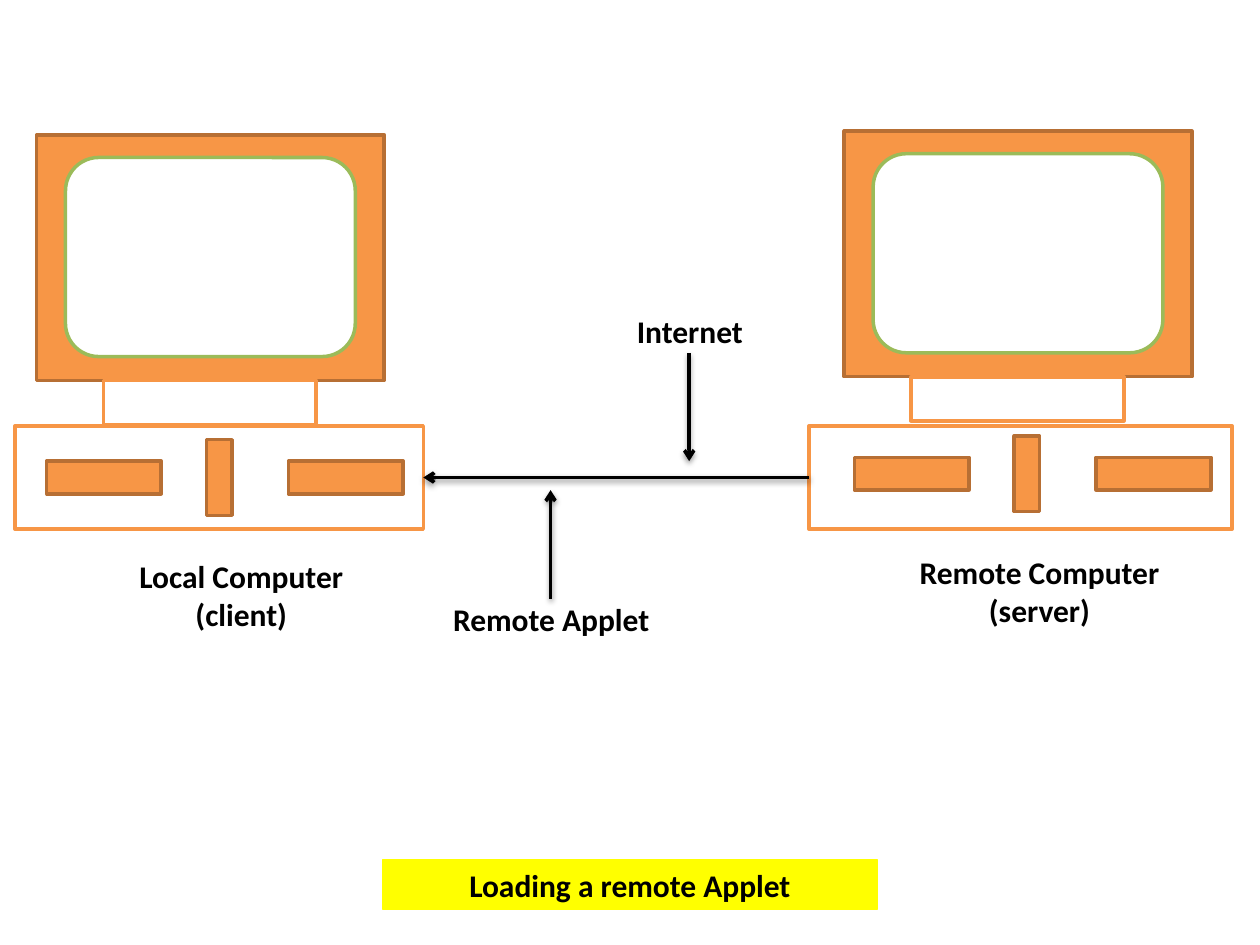
from lxml import etree
from pptx import Presentation
from pptx.dml.color import RGBColor
from pptx.enum.shapes import MSO_CONNECTOR, MSO_SHAPE
from pptx.enum.text import MSO_ANCHOR, PP_ALIGN
from pptx.oxml.ns import qn
from pptx.util import Inches, Pt

RECT = MSO_SHAPE.RECTANGLE
ROUNDED = MSO_SHAPE.ROUNDED_RECTANGLE
STRAIGHT = MSO_CONNECTOR.STRAIGHT
CENTER = PP_ALIGN.CENTER
TOP, MIDDLE = MSO_ANCHOR.TOP, MSO_ANCHOR.MIDDLE
LEFT_SIDE, RIGHT_SIDE = 1, 3

ORANGE, BROWN, GREEN = "F79646", "B76F34", "9BBB59"
WHITE, BLACK, YELLOW = "FFFFFF", "000000", "FFFF00"


def color(hex_code):
    return RGBColor.from_string(hex_code)


def write(shape, text, size=18, bold=True, ink=BLACK, font="Calibri", anchor=TOP):
    frame = shape.text_frame
    frame.word_wrap = True
    frame.vertical_anchor = anchor
    for i, line in enumerate(text.split("\n")):
        paragraph = frame.paragraphs[0] if i == 0 else frame.add_paragraph()
        paragraph.alignment = CENTER
        run = paragraph.add_run()
        run.text = line
        run.font.name, run.font.size, run.font.bold = font, Pt(size), bold
        run.font.color.rgb = color(ink)


class Diagram:
    line_width = 2

    def __init__(self, slide):
        self.slide = slide

    def box(self, left, top, width, height, fill=WHITE, line=ORANGE,
            kind=RECT, line_width=line_width):
        shape = self.slide.shapes.add_shape(
            kind, Inches(left), Inches(top), Inches(width), Inches(height))
        shape.shadow.inherit = False
        shape.fill.solid()
        shape.fill.fore_color.rgb = color(fill)
        shape.line.color.rgb = color(line)
        shape.line.width = Pt(line_width)
        return shape

    def label(self, left, top, width, height, text):
        write(self.slide.shapes.add_textbox(
            Inches(left), Inches(top), Inches(width), Inches(height)), text)

    def arrow(self, x1, y1, x2, y2):
        connector = self.slide.shapes.add_connector(
            STRAIGHT, Inches(x1), Inches(y1), Inches(x2), Inches(y2))
        connector.line.color.rgb = color(BLACK)
        connector.line.width = Pt(self.line_width)
        properties = connector.line._get_or_add_ln()
        etree.SubElement(properties, qn("a:tailEnd"), type="arrow")
        # Soft shadow straight below the line
        effects = etree.SubElement(connector._element.spPr, qn("a:effectLst"))
        shadow = etree.SubElement(
            effects, qn("a:outerShdw"), blurRad=str(Pt(3.1)), dist=str(Pt(1.6)),
            dir="5400000", rotWithShape="0")
        shade = etree.SubElement(shadow, qn("a:srgbClr"), val=BLACK)
        etree.SubElement(shade, qn("a:alpha"), val="38000")
        return connector

    def computer(self, left, top, base_left, base_width):
        """Draw a computer with its monitor at left, top; return its base."""
        self.box(left, top, 2.76, 1.95, ORANGE, BROWN)
        self.box(left + 0.23, top + 0.18, 2.3, 1.58, WHITE, GREEN, ROUNDED)
        self.box(left + 0.53, top + 1.95, 1.69, 0.35)
        base = self.box(base_left, 3.38, base_width, 0.82)
        # Two drives with a switch between them
        for dx, dy, width, height in ((0.08, 2.59, 0.91, 0.26),
                                      (1.35, 2.42, 0.2, 0.6),
                                      (2.0, 2.59, 0.91, 0.26)):
            self.box(left + dx, top + dy, width, height, ORANGE, BROWN)
        return base


def main():
    deck = Presentation()
    deck.slide_width, deck.slide_height = Inches(10), Inches(7.5)
    diagram = Diagram(deck.slides.add_slide(deck.slide_layouts[6]))

    # Caption
    caption = diagram.box(3.04, 6.82, 3.92, 0.4, YELLOW, YELLOW, line_width=0.75)
    write(caption, "Loading a remote Applet", anchor=MIDDLE)

    # Computers
    diagram.label(0.97, 4.37, 1.89, 0.71, "Local Computer\n(client)")
    client = diagram.computer(0.29, 1.07, 0.12, 3.24)
    server = diagram.computer(6.7, 1.04, 6.42, 3.36)

    # Transfer from server to client
    transfer = diagram.arrow(6.42, 3.79, 3.36, 3.79)
    transfer.begin_connect(server, LEFT_SIDE)
    transfer.end_connect(client, RIGHT_SIDE)

    # Pointers and their labels
    diagram.arrow(5.47, 2.8, 5.47, 3.66)
    diagram.label(4.53, 2.43, 1.89, 0.4, "Internet")
    diagram.arrow(4.37, 4.75, 4.37, 3.89)
    diagram.label(3.43, 4.71, 1.89, 0.4, "Remote Applet")
    diagram.label(7.04, 4.34, 2.42, 0.71, "Remote Computer\n(server)")

    deck.save("out.pptx")


if __name__ == "__main__":
    main()
